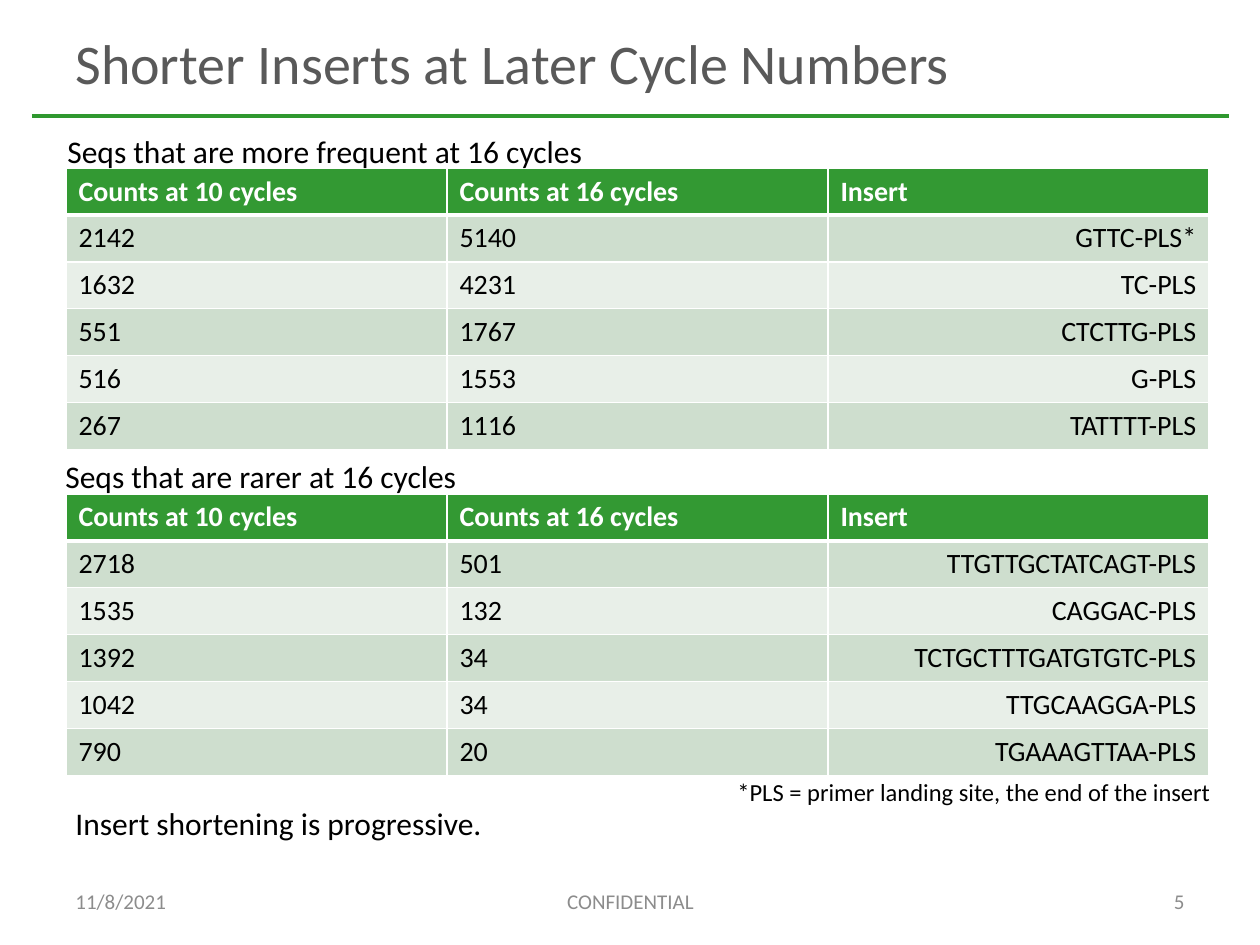
import dataclasses
import typing

import pptx
import pptx.dml.color
import pptx.enum.shapes
import pptx.enum.text
import pptx.oxml.xmlchemy
import pptx.util
from lxml import etree
from pptx.oxml.ns import qn

PX = pptx.util.Inches(1) // 126
FONT = "Calibri"
COLORS = {
    "title": "595959",
    "rule": "2F982F",
    "header": "339933",
    "band_dark": "CEDECE",
    "band_light": "E8EFE8",
    "white": "FFFFFF",
    "text": "000000",
    "footer": "8C8C8C",
}
LEFT = pptx.enum.text.PP_ALIGN.LEFT
CENTER = pptx.enum.text.PP_ALIGN.CENTER
RIGHT = pptx.enum.text.PP_ALIGN.RIGHT
TOP = pptx.enum.text.MSO_ANCHOR.TOP
MIDDLE = pptx.enum.text.MSO_ANCHOR.MIDDLE

TABLE_LEFT, COLUMN_WIDTH, ROW_HEIGHT = 66, 381, 46
HEADER = ("Counts at 10 cycles", "Counts at 16 cycles", "Insert")


@dataclasses.dataclass(frozen=True)
class Label:
    text: str
    left: int
    top: int
    width: int
    height: int
    size: int
    color: str = "text"
    align: typing.Any = LEFT
    anchor: typing.Any = TOP


@dataclasses.dataclass(frozen=True)
class CountTable:
    top: int
    rows: tuple[tuple[str, str, str], ...]


LABELS = (
    Label("Shorter Inserts at Later Cycle Numbers", 63, 10, 1134, 105, 32, "title", anchor=MIDDLE),
    Label("Seqs that are more frequent at 16 cycles", 55, 126, 662, 50, 18),
    Label("Seqs that are rarer at 16 cycles", 53, 451, 421, 50, 18),
    Label("*PLS = primer landing site, the end of the insert", 725, 771, 503, 43, 14),
    Label("Insert shortening is progressive.", 63, 798, 436, 50, 18),
    # Footer
    Label("11/8/2021", 63, 876, 294, 50, 12, "footer", LEFT, MIDDLE),
    Label("CONFIDENTIAL", 431, 876, 399, 50, 12, "footer", CENTER, MIDDLE),
    Label("5", 903, 876, 294, 50, 12, "footer", RIGHT, MIDDLE),
)

TABLES = (
    CountTable(168, (
        ("2142", "5140", "GTTC-PLS*"),
        ("1632", "4231", "TC-PLS"),
        ("551", "1767", "CTCTTG-PLS"),
        ("516", "1553", "G-PLS"),
        ("267", "1116", "TATTTT-PLS"),
    )),
    CountTable(494, (
        ("2718", "501", "TTGTTGCTATCAGT-PLS"),
        ("1535", "132", "CAGGAC-PLS"),
        ("1392", "34", "TCTGCTTTGATGTGTC-PLS"),
        ("1042", "34", "TTGCAAGGA-PLS"),
        ("790", "20", "TGAAAGTTAA-PLS"),
    )),
)


def rgb(name: str) -> pptx.dml.color.RGBColor:
    return pptx.dml.color.RGBColor.from_string(COLORS[name])


def format_paragraph(paragraph, text: str, size: int, color: str, align, bold: bool = False) -> None:
    run = paragraph.add_run()
    run.text = text
    paragraph.alignment = align
    formats = {"name": FONT, "size": pptx.util.Pt(size), "bold": bold}
    for attribute, value in formats.items():
        setattr(run.font, attribute, value)
    run.font.color.rgb = rgb(color)


def draw_label(slide, label: Label) -> None:
    box = (label.left, label.top, label.width, label.height)
    shape = slide.shapes.add_textbox(*(length * PX for length in box))
    frame_formats = {"word_wrap": True, "vertical_anchor": label.anchor}
    for attribute, value in frame_formats.items():
        setattr(shape.text_frame, attribute, value)
    format_paragraph(shape.text_frame.paragraphs[0], label.text, label.size, label.color, label.align)


def draw_rule(slide) -> None:
    rule = slide.shapes.add_connector(
        pptx.enum.shapes.MSO_CONNECTOR.STRAIGHT, 32 * PX, 116 * PX, 1229 * PX, 116 * PX
    )
    rule.line.color.rgb = rgb("rule")
    rule.line.width = pptx.util.Pt(2.5)
    etree.SubElement(rule._element.spPr, qn("a:effectLst"))


def set_borders(cell, widths: dict[str, int]) -> None:
    properties = cell._tc.get_or_add_tcPr()
    for side, width in widths.items():
        line = etree.SubElement(properties, qn(f"a:ln{side}"), w=str(pptx.util.Pt(width)))
        fill = etree.SubElement(line, qn("a:solidFill"))
        etree.SubElement(fill, qn("a:srgbClr"), val=COLORS["white"])


def draw_table(slide, counts: CountTable) -> None:
    rows = (HEADER, *counts.rows)
    table = slide.shapes.add_table(
        len(rows), len(HEADER), TABLE_LEFT * PX, counts.top * PX,
        len(HEADER) * COLUMN_WIDTH * PX, len(rows) * ROW_HEIGHT * PX,
    ).table
    for column in table.columns:
        column.width = COLUMN_WIDTH * PX
    for row_index, texts in enumerate(rows):
        table.rows[row_index].height = ROW_HEIGHT * PX
        is_header = row_index == 0
        band = "band_dark" if row_index % 2 else "band_light"
        # The heavy border lies between the header and the first data row
        borders = {"L": 1, "R": 1, "T": 3 if row_index == 1 else 1, "B": 3 if is_header else 1}
        for column_index, text in enumerate(texts):
            cell = table.cell(row_index, column_index)
            set_borders(cell, borders)
            cell.fill.solid()
            cell.fill.fore_color.rgb = rgb("header" if is_header else band)
            is_insert = column_index == len(HEADER) - 1 and not is_header
            format_paragraph(
                cell.text_frame.paragraphs[0], text, 16, "white" if is_header else "text",
                RIGHT if is_insert else LEFT, is_header,
            )


def main() -> None:
    presentation = pptx.Presentation()
    presentation.slide_width = 1260 * PX
    presentation.slide_height = 945 * PX
    slide = presentation.slides.add_slide(presentation.slide_layouts[6])

    # Rule under the title
    draw_rule(slide)

    # Count tables
    for counts in TABLES:
        draw_table(slide, counts)

    # Title, captions, notes and footer
    for label in LABELS:
        draw_label(slide, label)

    presentation.save("out.pptx")


if __name__ == "__main__":
    main()
